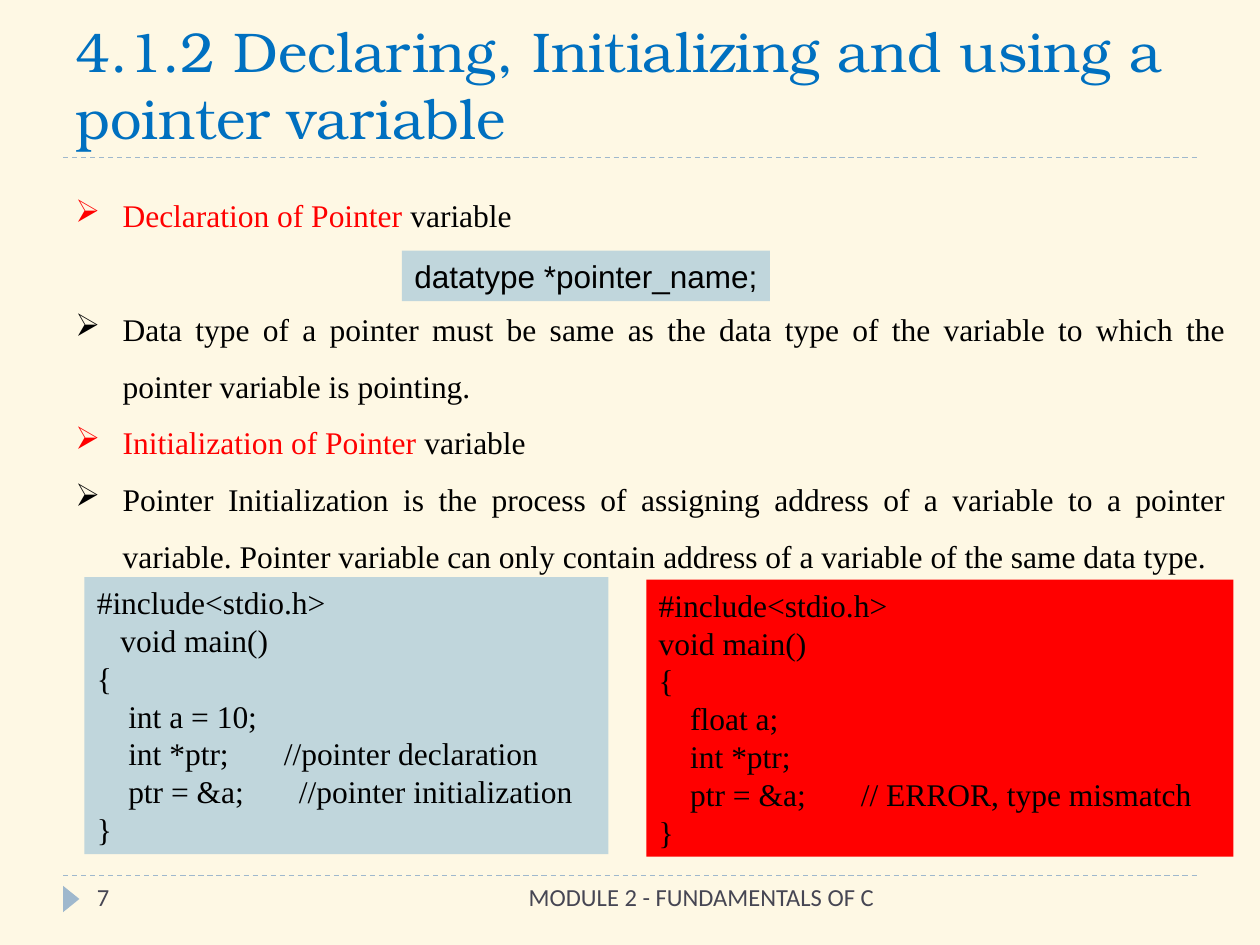
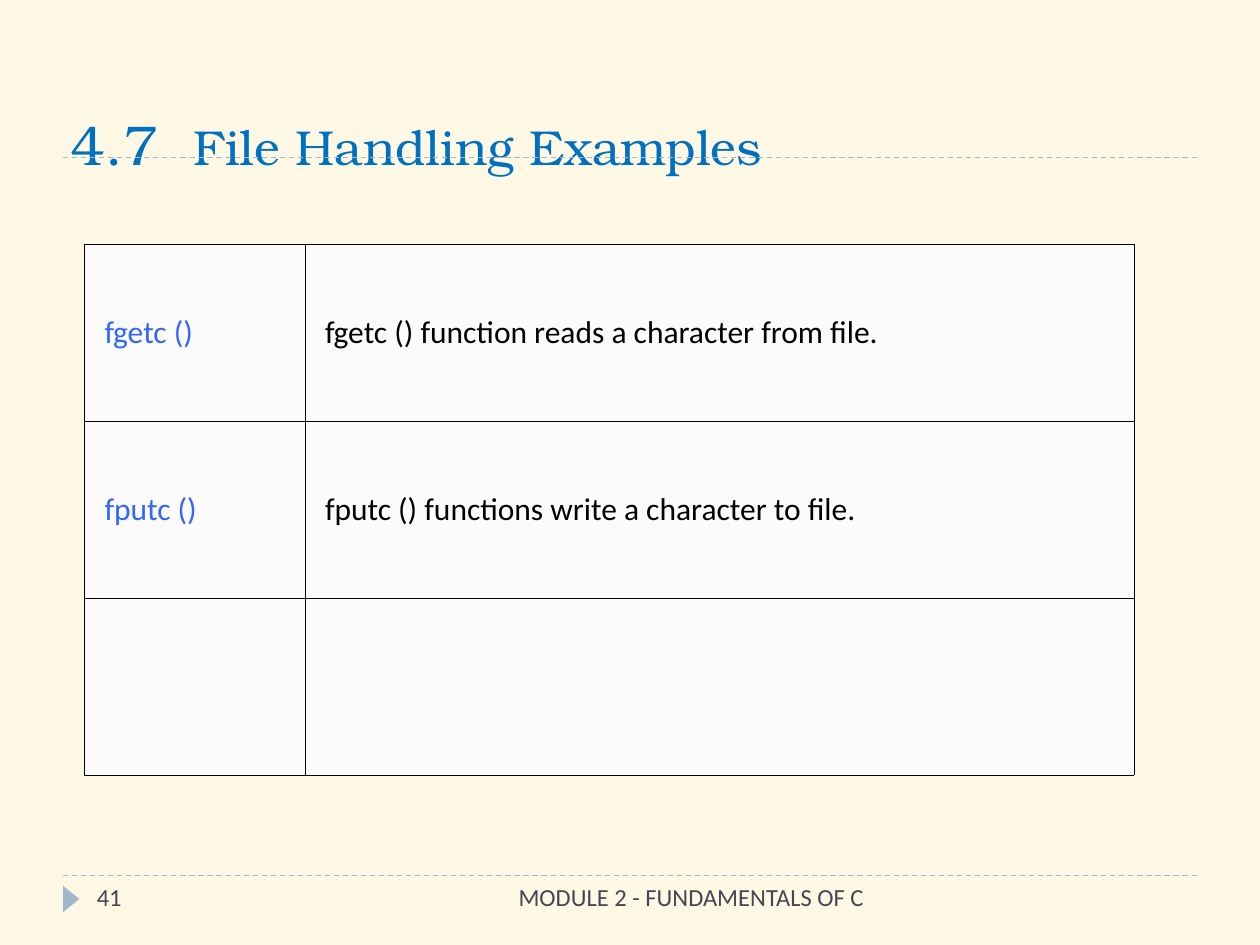
"""Build two slides on C pointers and file handling."""
from lxml.etree import SubElement
from pptx import Presentation
from pptx.dml.color import RGBColor
from pptx.enum.dml import MSO_LINE
from pptx.enum.shapes import MSO_CONNECTOR, MSO_SHAPE
from pptx.enum.text import MSO_ANCHOR, MSO_AUTO_SIZE, PP_ALIGN
from pptx.oxml import parse_xml
from pptx.oxml.ns import nsdecls, qn
from pptx.util import Pt

CREAM = RGBColor(0xFE, 0xF8, 0xE4)
STEEL = RGBColor(0x9F, 0xB8, 0xCD)
TITLE_BLUE = RGBColor(0x00, 0x70, 0xC0)
FOOTER_GRAY = RGBColor(0x46, 0x46, 0x53)
PALE_BLUE = RGBColor(0xC0, 0xD6, 0xDC)
LINK_BLUE = RGBColor(0x33, 0x66, 0xFF)
CELL_WHITE = RGBColor(0xFB, 0xFB, 0xFB)
RED = RGBColor(0xFF, 0x00, 0x00)
BLACK = RGBColor(0x00, 0x00, 0x00)

TITLE_FONT = "TeX Gyre Bonum"
SERIF = "Times New Roman"
SANS = "Arial"
PLAIN = "Calibri"
LINE_PITCH = 21.6
BODY_PITCH = 1.5 * LINE_PITCH

BULLETS = [
    [("Declaration of Pointer", RED), (" variable", BLACK)],
    [("Data type of a pointer must be same as the data type of the variable "
      "to which the pointer variable is pointing.", BLACK)],
    [("Initialization of Pointer", RED), (" variable", BLACK)],
    [("Pointer Initialization is the process of assigning address of a "
      "variable to a pointer variable. Pointer variable can only contain "
      "address of a variable of the same data type.", BLACK)],
]
VALID_CODE = """#include<stdio.h>
   void main()
{
    int a = 10;
    int *ptr;       //pointer declaration
    ptr = &a;       //pointer initialization
}"""
MISMATCH_CODE = """#include<stdio.h>
void main()
{
    float a;
    int *ptr;
    ptr = &a;       // ERROR, type mismatch
}"""
FILE_FUNCTIONS = [
    ("fgetc ()", "fgetc () function reads a character from file."),
    ("fputc ()", "fputc () functions write a character to file."),
    ("", ""),
]


def set_font(font, name, size, color):
    """Set the typeface, size and colour of a font."""
    font.name = name
    font.size = Pt(size)
    font.color.rgb = color


def place(shape, left, top, width, height):
    """Move and size a shape in points."""
    shape.left, shape.top = Pt(left), Pt(top)
    shape.width, shape.height = Pt(width), Pt(height)


def add_rule(slide, top):
    """Add a dashed rule across the slide."""
    rule = slide.shapes.add_connector(
        MSO_CONNECTOR.STRAIGHT, Pt(36), Pt(top), Pt(684), Pt(top))
    rule.line.color.rgb = STEEL
    rule.line.width = Pt(0.75)
    rule.line.dash_style = MSO_LINE.DASH
    SubElement(rule._element.spPr, qn("a:effectLst"))


def add_shape(slide, kind, frame, color):
    """Add a flat filled preset shape."""
    shape = slide.shapes.add_shape(kind, *map(Pt, frame))
    shape.shadow.inherit = False
    shape.fill.solid()
    shape.fill.fore_color.rgb = color
    shape.line.fill.background()
    return shape


def add_footer_text(slide, text, left, width, alignment):
    """Add one text of the footer band."""
    box = slide.shapes.add_textbox(Pt(left), Pt(500.4), Pt(width), Pt(28.8))
    box.text_frame.word_wrap = True
    para = box.text_frame.paragraphs[0]
    para.text = text
    para.alignment = alignment
    set_font(para.font, PLAIN, 14, FOOTER_GRAY)


def add_titled_slide(deck, number, title_frame, spans, footer_width):
    """Add a slide with its rules, marker, title and footer."""
    slide = deck.slides.add_slide(deck.slide_layouts.get_by_name("Title Only"))
    add_rule(slide, 500.4)
    add_rule(slide, 90)
    marker = add_shape(slide, MSO_SHAPE.ISOSCELES_TRIANGLE,
                       (33.12, 509.04, 15.12, 9.36), STEEL)
    marker.rotation = 90
    title = slide.shapes.title
    place(title, *title_frame)
    title.text_frame.vertical_anchor = MSO_ANCHOR.BOTTOM
    title.text_frame.auto_size = MSO_AUTO_SIZE.NONE
    para = title.text_frame.paragraphs[0]
    para.alignment = PP_ALIGN.LEFT
    tabs = SubElement(para._p.get_or_add_pPr(), qn("a:tabLst"))
    SubElement(tabs, qn("a:tab"), pos=str(Pt(70)), algn="l")
    for text, size in spans:
        span = para.add_run()
        span.text = text
        set_font(span.font, TITLE_FONT, size, TITLE_BLUE)
    add_footer_text(slide, "MODULE 2 - FUNDAMENTALS OF C ", 228.24,
                    footer_width, PP_ALIGN.RIGHT)
    add_footer_text(slide, str(number), 48.24, 156.24, PP_ALIGN.LEFT)
    return slide


def add_bullets(slide, bullets, frame, gap):
    """Add justified arrow bullets with a gap after the first one."""
    box = slide.shapes.add_textbox(*map(Pt, frame))
    box.text_frame.word_wrap = True
    for index, spans in enumerate(bullets):
        para = (box.text_frame.add_paragraph() if index
                else box.text_frame.paragraphs[0])
        properties = para._p.get_or_add_pPr()
        properties.set("marL", str(Pt(27)))
        properties.set("indent", str(Pt(-27)))
        bullet_color = SubElement(properties, qn("a:buClr"))
        SubElement(bullet_color, qn("a:srgbClr"), val=str(spans[0][1]))
        SubElement(properties, qn("a:buChar"), char="➢")
        para.alignment = PP_ALIGN.JUSTIFY
        para.line_spacing = Pt(BODY_PITCH)
        if index == 1:
            para.space_before = Pt(gap)
        para.font.name = SERIF
        para.font.size = Pt(18)
        for text, color in spans:
            span = para.add_run()
            span.text = text
            span.font.color.rgb = color


def add_code(slide, code, frame, fill, font_name=SERIF):
    """Add a filled box of code lines."""
    box = add_shape(slide, MSO_SHAPE.RECTANGLE, frame, fill)
    text_frame = box.text_frame
    text_frame.word_wrap = False
    text_frame.vertical_anchor = MSO_ANCHOR.TOP
    text_frame.text = code
    for para in text_frame.paragraphs:
        para.alignment = PP_ALIGN.LEFT
        para.line_spacing = Pt(LINE_PITCH)
        set_font(para.font, font_name, 18, BLACK)


def fill_cell(cell, text, color, alignment):
    """Write, fill and outline one table cell."""
    cell.fill.solid()
    cell.fill.fore_color.rgb = CELL_WHITE
    cell.vertical_anchor = MSO_ANCHOR.MIDDLE
    cell.margin_left = cell.margin_right = Pt(11.5)
    properties = cell._tc.get_or_add_tcPr()
    for index, side in enumerate(("lnL", "lnR", "lnT", "lnB")):
        properties.insert(index, parse_xml(
            f'<a:{side} {nsdecls("a")} w="{Pt(0.34)}"><a:solidFill>'
            f'<a:srgbClr val="{BLACK}"/></a:solidFill></a:{side}>'))
    para = cell.text_frame.paragraphs[0]
    para.text = text
    para.alignment = alignment
    set_font(para.font, PLAIN, 18, color)


def add_function_table(slide, rows, frame, name_width):
    """Add a two-column table of functions and their descriptions."""
    table = slide.shapes.add_table(len(rows), 2, *map(Pt, frame)).table
    table.first_row = table.horz_banding = False
    table.columns[0].width = Pt(name_width)
    table.columns[1].width = Pt(frame[2] - name_width)
    for index, (name, description) in enumerate(rows):
        table.rows[index].height = Pt(frame[3] / len(rows))
        fill_cell(table.cell(index, 0), name, LINK_BLUE, PP_ALIGN.LEFT)
        fill_cell(table.cell(index, 1), description, BLACK, PP_ALIGN.JUSTIFY)


def main():
    """Build and save the deck."""
    deck = Presentation()
    deck.slide_width, deck.slide_height = Pt(720), Pt(540)
    background = deck.slide_master.background.fill
    background.solid()
    background.fore_color.rgb = CREAM

    pointers = add_titled_slide(
        deck, 7, (36, 12.24, 648, 77.76),
        [("4.1.2 Declaring, Initializing and using a pointer variable", 32)],
        281.52)
    add_bullets(pointers, BULLETS, (36, 97.92, 671.76, 234), BODY_PITCH)
    add_code(pointers, "datatype *pointer_name;",
             (229.68, 143.28, 210.24, 28.8), PALE_BLUE, SANS)
    add_code(pointers, VALID_CODE, (48.24, 329.76, 299.52, 158.4), PALE_BLUE)
    add_code(pointers, MISMATCH_CODE, (369.36, 331.2, 335.52, 158.4), RED)

    files = add_titled_slide(
        deck, 41, (33.12, 26.64, 684, 77.76),
        [("4.7\t", 32), ("File Handling Examples", 28)], 275.76)
    add_function_table(files, FILE_FUNCTIONS, (48.24, 139.68, 599.76, 303.3),
                       126)
    deck.save("out.pptx")


if __name__ == "__main__":
    main()
